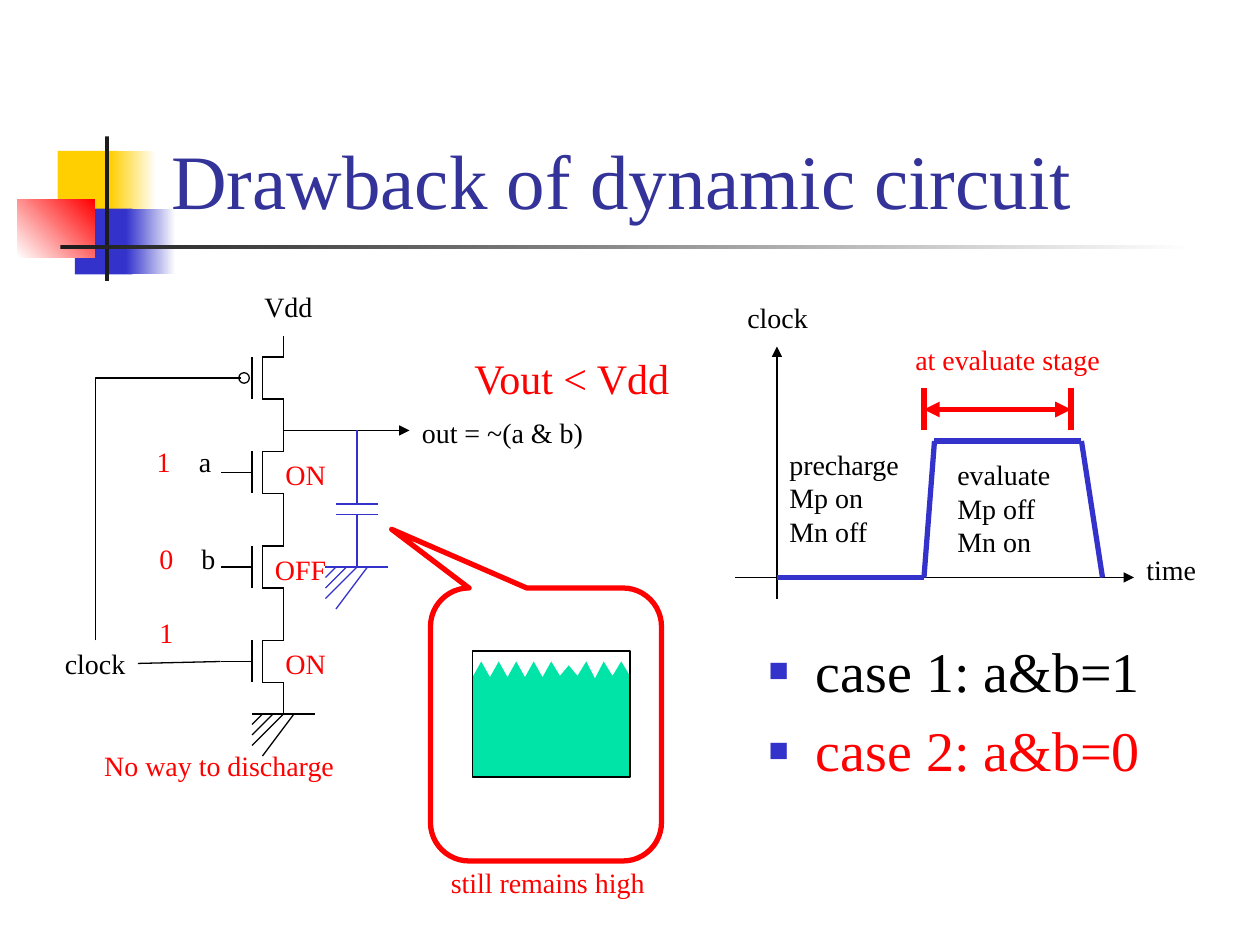
from dataclasses import dataclass
from itertools import pairwise
from typing import Any

from lxml import etree
from pptx import Presentation
from pptx.dml.color import RGBColor
from pptx.enum.shapes import MSO_CONNECTOR, MSO_SHAPE
from pptx.enum.text import MSO_ANCHOR, MSO_AUTO_SIZE, PP_ALIGN
from pptx.oxml.ns import qn
from pptx.util import Emu, Pt

RECT, OVAL = MSO_SHAPE.RECTANGLE, MSO_SHAPE.OVAL
CALLOUT = MSO_SHAPE.ROUNDED_RECTANGULAR_CALLOUT
STRAIGHT, ELBOW = MSO_CONNECTOR.STRAIGHT, MSO_CONNECTOR.ELBOW
LEFT, BOTTOM = PP_ALIGN.LEFT, MSO_ANCHOR.BOTTOM
GROW = MSO_AUTO_SIZE.SHAPE_TO_FIT_TEXT

BLACK = RGBColor(0x00, 0x00, 0x00)
WHITE = RGBColor(0xFF, 0xFF, 0xFF)
RED = RGBColor(0xFF, 0x00, 0x00)
BLUE = RGBColor(0x33, 0x33, 0xCC)
NAVY = RGBColor(0x33, 0x33, 0x99)
GOLD = RGBColor(0xFF, 0xCF, 0x01)
DARK = RGBColor(0x1C, 0x1C, 0x1C)
GREEN = RGBColor(0x00, 0xE4, 0xA8)

FONT = "Times New Roman"
SCALE = 9525  # EMU in one px, 96 px to the inch
THIN, THICK = 0.75, 3


@dataclass
class Block:
    x: int
    y: int
    w: int
    h: int
    fill: RGBColor
    fade: RGBColor | None = None
    angle: int = 0


@dataclass
class Label:
    text: str
    x: int
    y: int
    w: int
    h: int = 35
    color: RGBColor = BLACK
    size: int = 16


def px(n: float) -> Emu:
    return Emu(round(n * SCALE))


def add_run(para: Any, text: str, size: int, color: RGBColor) -> None:
    run = para.add_run()
    run.text = text
    run.font.name, run.font.size = FONT, Pt(size)
    run.font.color.rgb = color


def add_label(shapes: Any, item: Label) -> Any:
    box = shapes.add_textbox(px(item.x), px(item.y), px(item.w), px(item.h))
    frame = box.text_frame
    frame.word_wrap, frame.auto_size = False, GROW
    for i, text in enumerate(item.text.split("\n")):
        para = frame.add_paragraph() if i else frame.paragraphs[0]
        add_run(para, text, item.size, item.color)
    return box


def add_block(shapes: Any, item: Block) -> None:
    shape = shapes.add_shape(RECT, px(item.x), px(item.y), px(item.w), px(item.h))
    shape.shadow.inherit = False
    shape.line.fill.background()
    if item.fade is None:
        shape.fill.solid()
        shape.fill.fore_color.rgb = item.fill
        return
    shape.fill.gradient()
    shape.fill.gradient_angle = item.angle
    for stop, spot, color in zip(shape.fill.gradient_stops, (0, 1), (item.fill, item.fade)):
        stop.position, stop.color.rgb = spot, color


def add_frame(shapes: Any, kind: Any, x: int, y: int, w: int, h: int,
              color: RGBColor = BLACK, width: float = THIN) -> Any:
    shape = shapes.add_shape(kind, px(x), px(y), px(w), px(h))
    shape.shadow.inherit = False
    shape.fill.background()
    shape.line.color.rgb, shape.line.width = color, Pt(width)
    return shape


def add_wire(shapes: Any, x1: int, y1: int, x2: int, y2: int, color: RGBColor = BLACK,
             width: float = THIN, ends: tuple[str, ...] = (), kind: Any = STRAIGHT) -> Any:
    wire = shapes.add_connector(kind, px(x1), px(y1), px(x2), px(y2))
    wire.line.color.rgb, wire.line.width = color, Pt(width)
    props = wire._element.spPr
    for end in ends:
        etree.SubElement(props.find(qn("a:ln")), qn(f"a:{end}"), type="triangle")
    etree.SubElement(props, qn("a:effectLst"))
    return wire


def add_gate(shapes: Any, top: int, right: int = 192) -> None:
    """Transistor: plate, channel, two leads and the gate wire."""
    low, mid = top + 32, top + 16
    for x in (192, 200):
        add_wire(shapes, x, top, x, low)
    for y, far in ((top, top - 16), (low, low + 24)):
        add_wire(shapes, 200, y, 216, y)
        add_wire(shapes, 216, y, 216, far)
    add_wire(shapes, right, mid, right - 24, mid)


def add_ground(shapes: Any, x: int, y: int, color: RGBColor) -> None:
    add_wire(shapes, x, y, x + 48, y, color)
    for step in (8, 16, 24):
        add_wire(shapes, x + step, y, x, y + step, color)
    add_wire(shapes, x + 32, y, x + 8, y + 32, color)


def set_bullet(para: Any) -> None:
    props = para._p.get_or_add_pPr()
    props.set("marL", str(px(36)))
    props.set("indent", str(px(-36)))
    tint = etree.SubElement(props, qn("a:buClr"))
    etree.SubElement(tint, qn("a:srgbClr"), val=str(BLUE))
    etree.SubElement(props, qn("a:buSzPct"), val="60000")
    etree.SubElement(props, qn("a:buChar"), char="■")


def place(shape: Any, x: int, y: int, w: int, h: int) -> None:
    shape.left, shape.top, shape.width, shape.height = map(px, (x, y, w, h))
    shape.text_frame.auto_size = MSO_AUTO_SIZE.NONE


def main() -> None:
    deck = Presentation()
    deck.slide_width, deck.slide_height = px(960), px(720)
    slide = deck.slides.add_slide(deck.slide_layouts[1])
    shapes = slide.shapes
    title, body = slide.placeholders

    # Corner blocks and rule, behind the placeholders
    for item in (
        Block(44, 115, 46, 50, GOLD), Block(84, 115, 35, 50, GOLD, WHITE),
        Block(57, 159, 44, 50, BLUE), Block(96, 159, 38, 50, BLUE, WHITE),
        Block(13, 152, 59, 44, WHITE, RED, 45),
        Block(80, 104, 3, 110, DARK), Block(46, 187, 864, 3, DARK, WHITE),
    ):
        add_block(shapes, item)
    for holder in (title, body):
        holder._element.getparent().append(holder._element)

    # Title and list
    place(title, 121, 22, 818, 154)
    title.text_frame.vertical_anchor = BOTTOM
    head = title.text_frame.paragraphs[0]
    head.alignment = LEFT
    add_run(head, "Drawback of dynamic circuit", 44, NAVY)
    place(body, 576, 480, 364, 164)
    cases = (("case 1: a&b=1", BLACK), ("case 2: a&b=0", RED))
    for i, (text, color) in enumerate(cases):
        para = body.text_frame.add_paragraph() if i else body.text_frame.paragraphs[0]
        set_bullet(para)
        para.space_before = Pt(7 if i else 0)
        add_run(para, text, 32, color)

    # Transistor chain
    chain = shapes.add_group_shape().shapes
    add_gate(chain, 272, right=184)
    add_frame(chain, OVAL, 182, 284, 8, 8)
    for top in (344, 416, 488):
        add_gate(chain, top)
    add_ground(chain, 192, 544, BLACK)
    add_wire(chain, 216, 328, 312, 328, ends=("tailEnd",))
    for item in (Label("Vdd", 192, 216, 56), Label("out = ~(a & b)", 312, 312, 143),
                 Label("a", 142, 334, 29), Label("b", 144, 408, 30)):
        add_label(chain, item)
    clock = add_label(chain, Label("clock", 40, 488, 65))
    add_wire(chain, 105, 506, 168, 504).begin_connect(clock, 3)
    bend = add_wire(chain, 73, 488, 160, 288, kind=ELBOW)
    guides = bend._element.spPr.find(qn("a:prstGeom")).find(qn("a:avLst"))
    etree.SubElement(guides, qn("a:gd"), name="adj1", fmla="val 0")

    # Clock chart
    chart = shapes.add_group_shape().shapes
    add_wire(chart, 560, 440, 864, 440, ends=("tailEnd",))
    add_wire(chart, 592, 456, 592, 264, ends=("tailEnd",))
    pulse = ((592, 440), (704, 440), (712, 336), (824, 336), (840, 440))
    for start, stop in pairwise(pulse):
        add_wire(chart, *start, *stop, BLUE, THICK)
    for item in (Label("time", 864, 416, 58), Label("clock", 560, 224, 65),
                 Label("precharge\nMp on\nMn off", 592, 336, 104, 86),
                 Label("evaluate\nMp off\nMn on", 720, 344, 90, 86)):
        add_label(chart, item)

    # Load capacitor
    load = shapes.add_group_shape().shapes
    for near, far in ((328, 384), (392, 432)):
        add_wire(load, 272, near, 272, far, BLUE)
    for y in (384, 392):
        add_wire(load, 256, y, 288, y, BLUE)
    add_ground(load, 248, 432, BLUE)

    # Callout with a filled tank
    call = add_frame(shapes, CALLOUT, 328, 448, 176, 208, RED, THICK)
    for i, value in enumerate((-0.668, -0.715, 0.167)):
        call.adjustments[i] = value
    peaks = (504, 504, 504, 504, 504, 507, 504, 504, 504)
    dips = (516, 516, 516, 516, 515, 515, 517, 515, 515)
    tooth = 120 / len(peaks)
    wave = [(360, 516)]
    for i, (peak, dip) in enumerate(zip(peaks, dips)):
        wave += [(360 + tooth * (i + 0.5), peak), (360 + tooth * (i + 1), dip)]
    pen = shapes.build_freeform(px(360), px(592))
    pen.add_line_segments([(px(x), px(y)) for x, y in wave + [(480, 592)]], close=True)
    water = pen.convert_to_shape()
    water.shadow.inherit = False
    water.fill.solid()
    water.fill.fore_color.rgb = GREEN
    water.line.fill.background()
    add_frame(shapes, RECT, 360, 496, 120, 96)

    # Evaluate span
    for x in (704, 816):
        add_wire(shapes, x, 296, x, 328, RED, THICK)
    add_wire(shapes, 704, 312, 816, 312, RED, THICK, ("headEnd", "tailEnd"))

    # Red notes
    for item in (
        Label("at evaluate stage", 688, 256, 161), Label("1", 110, 334, 30),
        Label("0", 112, 408, 30), Label("1", 112, 464, 30),
        Label("ON", 208, 344, 50), Label("OFF", 200, 416, 58),
        Label("ON", 208, 488, 50), Label("No way to discharge", 70, 566, 196),
        Label("still remains high", 334, 655, 168),
        Label("Vout < Vdd", 352, 264, 173, 48, size=24),
    ):
        item.color = RED
        add_label(shapes, item)

    deck.save("out.pptx")


if __name__ == "__main__":
    main()
